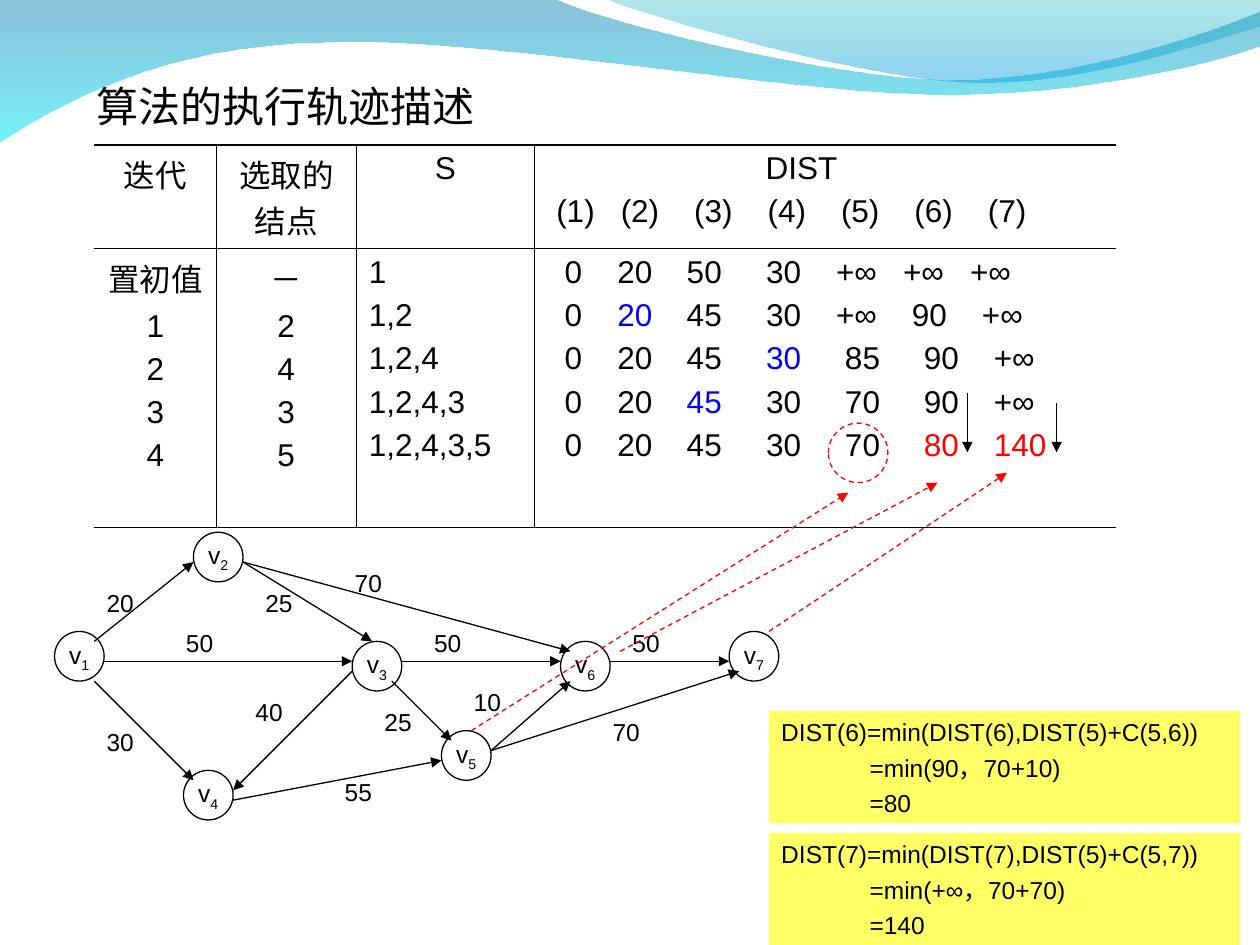
from itertools import groupby

from lxml.etree import SubElement
from pptx import Presentation
from pptx.dml.color import RGBColor
from pptx.enum.dml import MSO_LINE
from pptx.enum.shapes import MSO_CONNECTOR, MSO_SHAPE
from pptx.enum.text import MSO_ANCHOR, PP_ALIGN
from pptx.oxml import parse_xml
from pptx.oxml.ns import nsdecls, qn
from pptx.util import Cm, Pt

BLACK = RGBColor(0, 0, 0)
RED = RGBColor(0xFF, 0, 0)
BLUE = RGBColor(0, 0, 0xFF)
YELLOW = RGBColor(0xFF, 0xFF, 0x66)


def format_par(p, size, before=0, align=PP_ALIGN.LEFT, stops=()):
    """Set spacing, alignment, tab stops (cm) and font of a paragraph."""
    p.alignment = align
    p.space_before = Pt(before)
    if stops:
        tabs = SubElement(p._p.get_or_add_pPr(), qn("a:tabLst"))
        for x in stops:
            SubElement(tabs, qn("a:tab"), pos=str(Cm(x)), algn="l")
    p.font.name, p.font.size = "Arial", Pt(size)
    p.font.color.rgb = BLACK


def add_arrow(x1, y1, x2, y2, color=BLACK, dash=None):
    c = s.shapes.add_connector(MSO_CONNECTOR.STRAIGHT, Cm(x1), Cm(y1), Cm(x2), Cm(y2))
    c.line.color.rgb, c.line.width = color, Pt(0.75)
    if dash:
        c.line.dash_style = dash
    SubElement(c.line._get_or_add_ln(), qn("a:tailEnd"), type="triangle")
    SubElement(c._element.spPr, qn("a:effectLst"))


prs = Presentation()
prs.slide_width, prs.slide_height = Cm(25.4), Cm(19.05)
s = prs.slides.add_slide(prs.slide_layouts[5])

# Waves at the top: two numbers are a line, six a Bézier curve
waves = [
    ((0, -0.03),
     [(11.18, -0.03), (12.09, 0.43, 16.87, 1.6, 19.25, 1.6),
      (21.67, 1.6, 24.33, 0.66, 25.4, 0.23), (25.43, 0.91),
      (24.97, 1.12, 22.1, 1.93, 18.95, 1.9), (15.8, 1.9, 9.7, 0.71, 6.53, 0.86),
      (3.28, 0.89, 1.17, 2.11, -0.03, 2.87)],
     [(RGBColor(0, 0x79, 0xAF), 45), (RGBColor(0, 0xEB, 0xF8), 55)]),
    ((12.17, -0.03),
     [(12.93, 0.28, 17.32, 1.57, 19.53, 1.65),
      (21.74, 1.75, 24.41, 0.81, 25.4, 0.53), (25.4, 0)],
     [(RGBColor(0, 0xAD, 0xB6), 30), (RGBColor(0, 0x9B, 0xE5), 45)]),
]
for start, segments, colors in waves:
    points = [(Cm(seg[k]), Cm(seg[k + 1])) for seg in segments for k in range(0, len(seg), 2)]
    fb = s.shapes.build_freeform(Cm(start[0]), Cm(start[1]))
    fb.add_line_segments(points, close=True)
    sp = fb.convert_to_shape()
    # Join the three points of each curve into one Bézier segment
    corners = iter(list(sp._element.iter(qn("a:lnTo"))))
    for seg in segments:
        curve = [next(corners) for _ in range(len(seg) // 2)]
        if len(curve) == 3:
            curve[0].tag = qn("a:cubicBezTo")
            for corner in curve[1:]:
                curve[0].append(corner[0])
                corner.getparent().remove(corner)
    sp.shadow.inherit = False
    sp.line.fill.background()
    sp.fill.gradient()
    sp.fill.gradient_angle = 270
    for stop, (color, alpha) in zip(sp.fill.gradient_stops, colors):
        stop.color.rgb = color
        rgb = stop._gs.find(qn("a:srgbClr"))
        SubElement(rgb, qn("a:alpha"), val=str(alpha * 1000))

title = s.shapes.title
title.left, title.top, title.width, title.height = Cm(1.7), Cm(1.5), Cm(11.23), Cm(1.27)
tf = title.text_frame
tf.text = "算法的执行轨迹描述"
tf.vertical_anchor = MSO_ANCHOR.MIDDLE
format_par(tf.paragraphs[0], 24)
tf.paragraphs[0].font.name = "TeX Gyre Pagella"

# Trace table: each cell lists its paragraphs
tbl = s.shapes.add_table(2, 4, Cm(1.9), Cm(2.92), Cm(20.59), Cm(7.59)).table
tbl.first_row = tbl.horz_banding = False
for col, width in zip(tbl.columns, (2.46, 2.82, 3.6, 11.71)):
    col.width = Cm(width)
for row, height in zip(tbl.rows, (1.96, 5.62)):
    row.height = Cm(height)
cells = [
    [["迭代"], ["选取的结点"], ["S"]],
    [["置初值", "1", "2", "3", "4"], ["－", "2", "4", "3", "5"],
     ["1", "1,2", "1,2,4", "1,2,4,3", "1,2,4,3,5"]],
]
for i, row in enumerate(cells):
    for j, lines in enumerate(row):
        tf = tbl.cell(i, j).text_frame
        tf.text = "\n".join(lines)
        for p in tf.paragraphs:
            format_par(p, 18, 4.5, PP_ALIGN.LEFT if (i, j) == (1, 2) else PP_ALIGN.CENTER)

# DIST columns: values, tab stops, highlighted columns and their colour
first = [0.35, 1.41, 2.81, 4.41]
late = first + [6, 7.59, 9]
dist = [
    [("DIST", [4.4], (), BLACK),
     ("(1) (2) (3) (4) (5) (6) (7)", [0.18] + [1.48 * k for k in range(1, 7)], (), BLACK)],
    [("0 20 50 30 +∞ +∞ +∞", first + [5.82, 7.17, 8.52], (), BLACK),
     ("0 20 45 30 +∞ 90 +∞", first + [5.82, 7.35, 8.76], (1,), BLUE),
     ("0 20 45 30 85 90 +∞", late, (3,), BLUE),
     ("0 20 45 30 70 90 +∞", late, (2,), BLUE),
     ("0 20 45 30 70 80 140", late, (5, 6), RED)],
]
for i, lines in enumerate(dist):
    tf = tbl.cell(i, 3).text_frame
    for n, (values, stops, marked, color) in enumerate(lines):
        p = tf.add_paragraph() if n else tf.paragraphs[0]
        format_par(p, 18, 4.5, stops=stops)
        for hit, group in groupby(enumerate(values.split()), lambda kv: kv[0] in marked):
            r = p.add_run()
            r.text = "".join("\t" + value for _, value in group)
            if hit:
                r.font.color.rgb = color

THICK, THIN = Pt(1.08), Pt(0.45)
for i in range(2):
    for j in range(4):
        cell = tbl.cell(i, j)
        cell.fill.background()
        borders = [("L", THIN if j else 0), ("R", THIN if j < 3 else 0),
                   ("T", THIN if i else THICK), ("B", THICK if i else THIN)]
        for n, (side, width) in enumerate(borders):
            paint = '<a:solidFill><a:srgbClr val="000000"/></a:solidFill>' if width else "<a:noFill/>"
            cell._tc.get_or_add_tcPr().insert(n, parse_xml(
                f'<a:ln{side} {nsdecls("a")} w="{int(width)}">{paint}</a:ln{side}>'))

# Graph nodes
nodes = {"1": (1.1, 12.73), "2": (3.9, 10.73), "3": (7.1, 12.93), "4": (3.7, 15.53),
         "5": (8.9, 14.73), "6": (11.3, 12.93), "7": (14.7, 12.73)}
ring = (16.7, 8.53, 1.2, RED)
circles = [(x, y, 1, BLACK, name) for name, (x, y) in nodes.items()] + [(*ring, "")]
for x, y, size, color, name in circles:
    sp = s.shapes.add_shape(MSO_SHAPE.OVAL, Cm(x), Cm(y), Cm(size), Cm(size))
    sp.shadow.inherit = False
    sp.fill.background()
    sp.line.color.rgb, sp.line.width = color, Pt(0.75)
    if not name:
        sp.line.dash_style = MSO_LINE.DASH
        continue
    tf = sp.text_frame
    tf.word_wrap = False
    p = tf.paragraphs[0]
    format_par(p, 14, align=PP_ALIGN.CENTER)
    for text in ("v", name):
        r = p.add_run()
        r.text = text
    r.font._element.set("baseline", "-25000")

# Graph edges: arrow, weight, place of the weight
edges = [
    ((1.9, 12.93, 3.9, 11.33), "20", (1.9, 11.73)),
    ((1.9, 13.73, 3.9, 15.73), "30", (1.9, 14.53)),
    ((2.1, 13.33, 7.1, 13.33), "50", (3.5, 12.53)),
    ((4.9, 11.33, 7.5, 12.93), "25", (5.1, 11.73)),
    ((4.9, 11.33, 11.5, 13.13), "70", (6.9, 11.33)),
    ((7.1, 13.53, 4.7, 15.93), "40", (4.9, 13.93)),
    ((4.7, 16.13, 8.9, 15.33), "55", (6.7, 15.53)),
    ((8.1, 13.33, 11.3, 13.33), "50", (8.5, 12.53)),
    ((7.9, 13.73, 9.1, 14.93), "25", (7.5, 14.13)),
    ((9.9, 15.13, 11.5, 13.73), "10", (9.3, 13.73)),
    ((9.9, 15.13, 14.9, 13.53), "70", (12.1, 14.33)),
    ((12.3, 13.33, 14.7, 13.33), "50", (12.5, 12.53)),
]
for ends, weight, (x, y) in edges:
    add_arrow(*ends)
    tf = s.shapes.add_textbox(Cm(x), Cm(y), Cm(1.2), Cm(0.86)).text_frame
    tf.word_wrap = True
    tf.text = weight
    format_par(tf.paragraphs[0], 14)

for ends in ((19.5, 7.92, 19.5, 9.12), (21.3, 8.12, 21.3, 9.12)):
    add_arrow(*ends)
for ends in ((9.5, 14.73, 17.1, 9.93), (12.5, 13.13, 18.9, 9.73), (15.5, 12.73, 20.3, 9.53)):
    add_arrow(*ends, RED, MSO_LINE.DASH)

# Worked updates
updates = [
    (14.33, ["DIST(6)=min(DIST(6),DIST(5)+C(5,6))", "=min(90，70+10)", "=80"]),
    (16.79, ["DIST(7)=min(DIST(7),DIST(5)+C(5,7))", "=min(+∞，70+70)", "=140"]),
]
for top, lines in updates:
    sp = s.shapes.add_shape(MSO_SHAPE.RECTANGLE, Cm(15.5), Cm(top), Cm(9.5), Cm(2.27))
    sp.shadow.inherit = False
    sp.fill.solid()
    sp.fill.fore_color.rgb = YELLOW
    sp.line.fill.background()
    tf = sp.text_frame
    tf.vertical_anchor = MSO_ANCHOR.TOP
    tf.text = "\n".join(lines)
    for n, p in enumerate(tf.paragraphs):
        format_par(p, 14, 3.5)
        if n:
            p._p.get_or_add_pPr().set("marL", str(Cm(1.78)))

prs.save("out.pptx")
